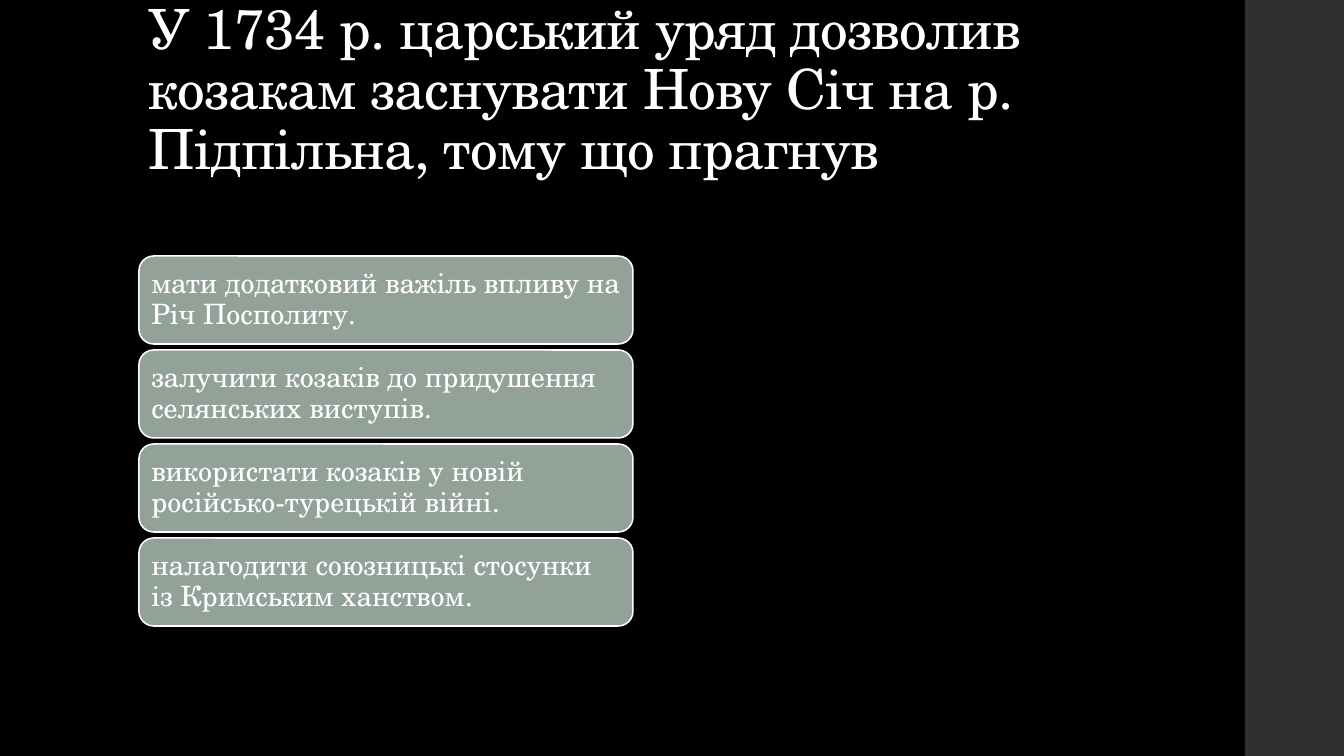
from dataclasses import dataclass

from pptx import Presentation
from pptx.dml.color import RGBColor
from pptx.enum.shapes import MSO_SHAPE
from pptx.enum.text import MSO_ANCHOR
from pptx.util import Emu, Pt

RECTANGLE = MSO_SHAPE.RECTANGLE
ROUNDED = MSO_SHAPE.ROUNDED_RECTANGLE
LEFT = 1  # value of the left paragraph alignment
MIDDLE, BOTTOM = MSO_ANCHOR.MIDDLE, MSO_ANCHOR.BOTTOM

EMU_PER_PX = 914400 / 100.8
FONT = "TeX Gyre Schola"
COLOURS = {"background": "000000", "band": "303030", "answer": "93A299", "text": "FFFFFF"}

QUESTION = "У 1734 р. царський уряд дозволив козакам заснувати Нову Січ на р. Підпільна, тому що прагнув"
ANSWERS = [
    "мати додатковий важіль впливу на Річ Посполиту.",
    "залучити козаків до придушення селянських виступів.",
    "використати козаків у новій російсько-турецькій війні.",
    "налагодити союзницькі стосунки із Кримським ханством.",
]
ANSWER_TOP, ANSWER_PITCH = 256, 94


@dataclass(frozen=True)
class Box:
    left: int
    top: int
    width: int
    height: int

    def emu(self) -> list[Emu]:
        return [px(value) for value in (self.left, self.top, self.width, self.height)]


def px(value: int) -> Emu:
    return Emu(round(value * EMU_PER_PX))


def colour(name: str) -> RGBColor:
    return RGBColor.from_string(COLOURS[name])


def add_panel(slide, kind, box: Box, fill: str):
    """Add a flat filled shape without an outline."""
    shape = slide.shapes.add_shape(kind, *box.emu())
    shape.shadow.inherit = False
    shape.fill.solid()
    shape.fill.fore_color.rgb = colour(fill)
    shape.line.fill.background()
    return shape


def write(shape, text: str, size: float, anchor, inset_x: int, inset_y: int):
    """Put one left-aligned paragraph into a shape and return its run."""
    frame = shape.text_frame
    frame.text = text
    frame.word_wrap = True
    frame.vertical_anchor = anchor
    frame.margin_left = frame.margin_right = px(inset_x)
    frame.margin_top = frame.margin_bottom = px(inset_y)
    paragraph = frame.paragraphs[0]
    paragraph.alignment = LEFT
    paragraph.line_spacing = 0.9
    run = paragraph.runs[0]
    run.font.name = FONT
    run.font.size = Pt(size)
    run.font.color.rgb = colour("text")
    return run


def add_answer(slide, text: str, box: Box) -> None:
    shape = add_panel(slide, ROUNDED, box, "answer")
    shape.line.color.rgb = colour("text")
    shape.line.width = Pt(1.1)
    write(shape, text, 20, MIDDLE, 8, 4)


def main() -> None:
    presentation = Presentation()
    presentation.slide_width, presentation.slide_height = px(1344), px(756)
    slide = presentation.slides.add_slide(presentation.slide_layouts[6])

    # Background and side band
    slide.background.fill.solid()
    slide.background.fill.fore_color.rgb = colour("background")
    add_panel(slide, RECTANGLE, Box(1245, 0, 99, 756), "band")

    # Question
    title = slide.shapes.add_textbox(*Box(139, 40, 1068, 146).emu())
    run = write(title, QUESTION, 39.6, BOTTOM, 10, 5)
    run.font._element.set("spc", "-50")

    # Answers
    for index, answer in enumerate(ANSWERS):
        top = ANSWER_TOP + index * ANSWER_PITCH
        add_answer(slide, answer, Box(139, top, 494, 88))

    presentation.save("out.pptx")


if __name__ == "__main__":
    main()
